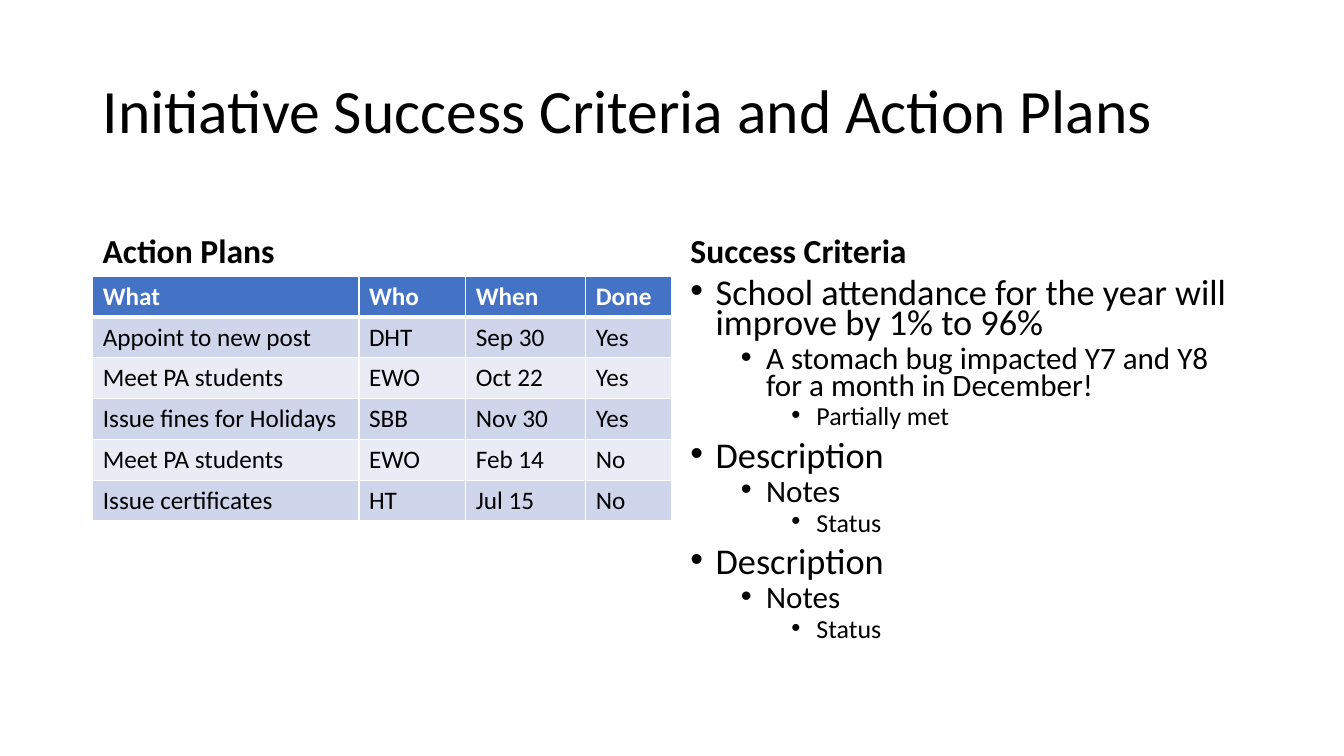
from dataclasses import dataclass

from lxml import etree
from pptx import Presentation
from pptx.dml.color import RGBColor
from pptx.enum.text import MSO_ANCHOR
from pptx.oxml.ns import qn
from pptx.util import Inches, Pt

TOP, MIDDLE, BOTTOM = MSO_ANCHOR.TOP, MSO_ANCHOR.MIDDLE, MSO_ANCHOR.BOTTOM


@dataclass(frozen=True)
class Theme:
    font: str = "Calibri"
    ink: str = "000000"
    white: str = "FFFFFF"
    header: str = "4472C4"
    bands: tuple = ("CFD5EA", "E9EBF5")
    title_size: float = 44
    heading_size: float = 24
    table_size: float = 18
    criteria_sizes: tuple = (25.9, 22.2, 18.5)


theme = Theme()


def add_run(paragraph, text, size, color=theme.ink, bold=False):
    run = paragraph.add_run()
    run.text = text
    run.font.name = theme.font
    run.font.size = Pt(size)
    run.font.bold = bold
    run.font.color.rgb = RGBColor.from_string(color)


def add_text_frame(left, top, width, height, anchor):
    frame = slide.shapes.add_textbox(
        Inches(left), Inches(top), Inches(width), Inches(height)
    ).text_frame
    frame.word_wrap = True
    frame.vertical_anchor = anchor
    return frame


prs = Presentation()
prs.slide_width = Inches(13.33)
prs.slide_height = Inches(7.5)
slide = prs.slides.add_slide(prs.slide_layouts[6])

title = add_text_frame(0.92, 0.4, 11.5, 1.45, MIDDLE).paragraphs[0]
title.line_spacing = 0.9
add_run(title, "Initiative Success Criteria and Action Plans", theme.title_size)

for text, left, width in [("Action Plans", 0.92, 5.64), ("Success Criteria", 6.75, 5.67)]:
    heading = add_text_frame(left, 1.84, width, 0.9, BOTTOM).paragraphs[0]
    heading.line_spacing = 0.9
    heading.space_before = Pt(10)
    add_run(heading, text, theme.heading_size, bold=True)

action_plans = [
    ("What", "Who", "When", "Done"),
    ("Appoint to new post", "DHT", "Sep 30", "Yes"),
    ("Meet PA students", "EWO", "Oct 22", "Yes"),
    ("Issue fines for Holidays", "SBB", "Nov 30", "Yes"),
    ("Meet PA students", "EWO", "Feb 14", "No"),
    ("Issue certificates", "HT", "Jul 15", "No"),
]
column_widths = [2.64, 1.06, 1.19, 0.85]
row_height = 0.405
plan_table = slide.shapes.add_table(
    len(action_plans), len(column_widths), Inches(0.92), Inches(2.74),
    Inches(sum(column_widths)), Inches(row_height * len(action_plans)),
).table
for column, width in zip(plan_table.columns, column_widths):
    column.width = Inches(width)

for row_index, plan in enumerate(action_plans):
    is_header = row_index == 0
    fill_color = theme.header if is_header else theme.bands[(row_index - 1) % 2]
    text_color = theme.white if is_header else theme.ink
    plan_table.rows[row_index].height = Inches(row_height)
    for column_index, text in enumerate(plan):
        cell = plan_table.cell(row_index, column_index)
        cell_properties = cell._tc.get_or_add_tcPr()
        for side in ("L", "R", "T", "B"):
            thick = (is_header and side == "B") or (row_index == 1 and side == "T")
            border = etree.SubElement(
                cell_properties, qn(f"a:ln{side}"), w=str(Pt(3 if thick else 1))
            )
            border_fill = etree.SubElement(border, qn("a:solidFill"))
            etree.SubElement(border_fill, qn("a:srgbClr"), val=theme.white)
        cell.fill.solid()
        cell.fill.fore_color.rgb = RGBColor.from_string(fill_color)
        add_run(cell.text_frame.paragraphs[0], text, theme.table_size, text_color, is_header)

success_criteria = [
    (
        "School attendance for the year will improve by 1% to 96%",
        "A stomach bug impacted Y7 and Y8 for a month in December!",
        "Partially met",
    ),
    ("Description", "Notes", "Status"),
    ("Description", "Notes", "Status"),
]
criteria_frame = add_text_frame(6.75, 2.74, 5.67, 4.03, TOP)
for criterion_index, criterion in enumerate(success_criteria):
    for level, text in enumerate(criterion):
        is_first = criterion_index == 0 and level == 0
        point = criteria_frame.paragraphs[0] if is_first else criteria_frame.add_paragraph()
        point.level = level
        point.line_spacing = 0.7
        point.space_before = Pt(5 if level else 10)
        point_properties = point._p.get_or_add_pPr()
        point_properties.set("marL", str(Inches(0.25 + 0.5 * level)))
        point_properties.set("indent", str(Inches(-0.25)))
        etree.SubElement(point_properties, qn("a:buFont"), typeface="Arial")
        etree.SubElement(point_properties, qn("a:buChar"), char="•")
        add_run(point, text, theme.criteria_sizes[level])

prs.save("out.pptx")
